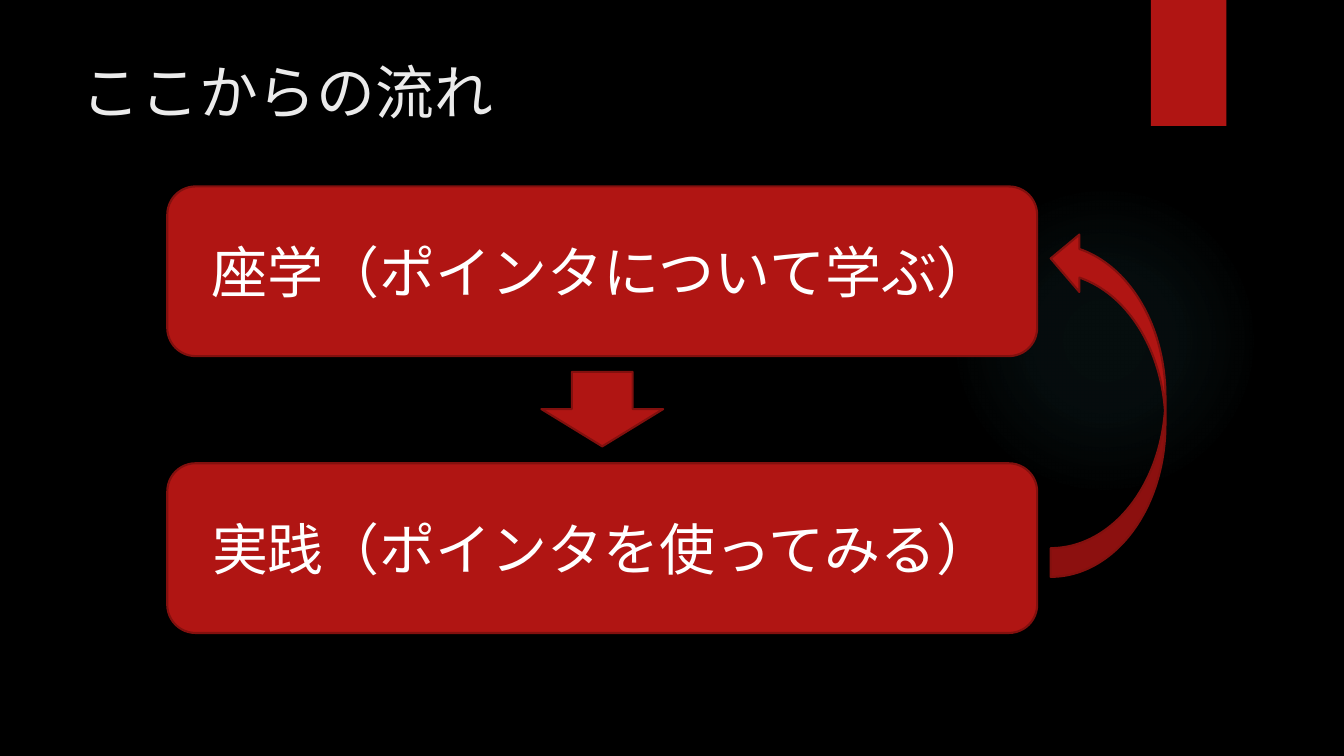
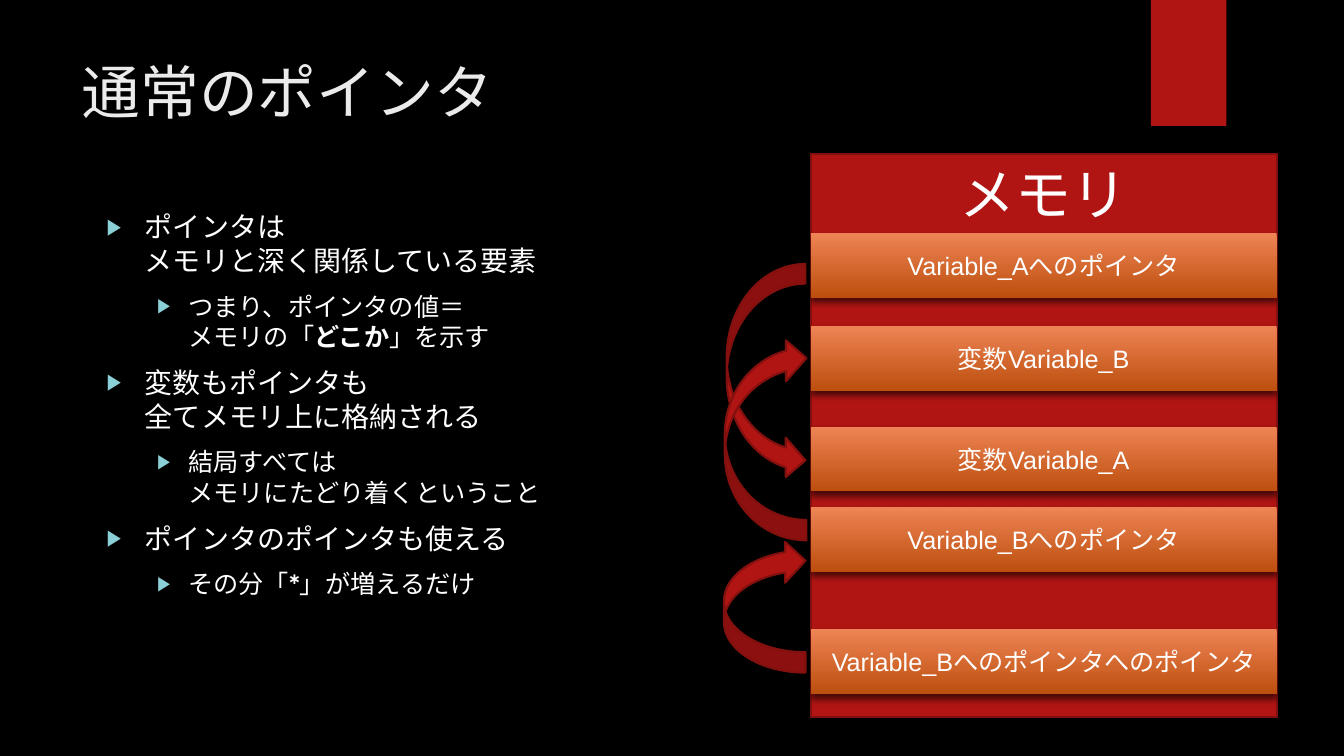
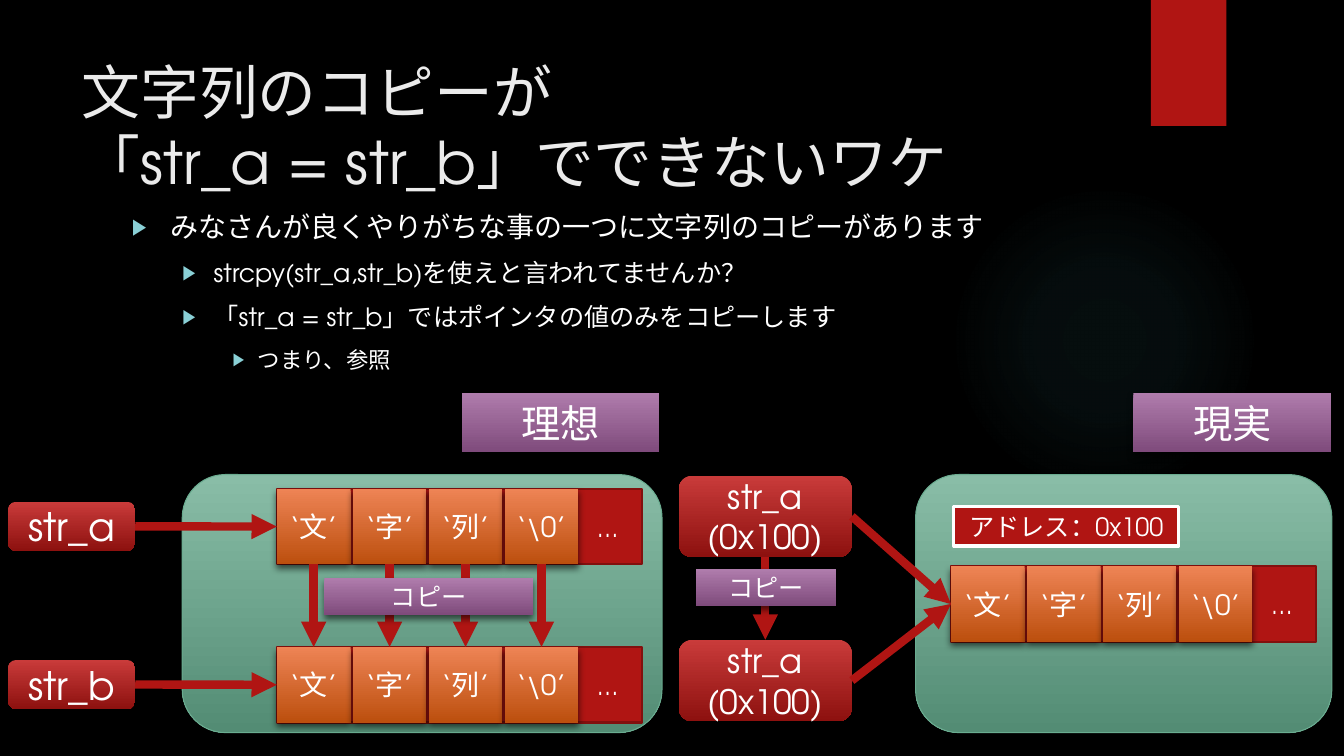
from dataclasses import dataclass

from lxml import etree
from pptx import Presentation
from pptx import util as u
from pptx.dml import color
from pptx.enum import shapes, text
from pptx.oxml import ns

GRID = u.Inches(1 / 12)
COLUMNS, ROWS = 160, 90
FONT, CELL_FONT = "TeX Gyre Adventor", "Arial"
BLACK, WHITE, TITLE_COLOR = "000000", "FFFFFF", "EBEBEB"
RED, DARK_RED, BULLET_COLOR, GLOW_COLOR = "B01513", "82100E", "8AD0D6", "50B9C1"
ORANGE = ("EE8455", "BC4F0E")
PURPLE = ("AF7CAC", "7F4B7C")
CRIMSON = ("C93B3A", "8D110F")
GREEN, GREEN_LINE = ("89BDA7", "538C74"), "6AAC90"
OUTLINE = (DARK_RED, 1.5)
SOFT_SHADOW, DEEP_SHADOW = (45, 3, 2), (60, 5, 3)
LEVELS = ((20, 0.38, -0.38), (18, 0.81, -0.31), (16, 1.25, -0.25))
KIND = shapes.MSO_SHAPE
TOP, MIDDLE = text.MSO_ANCHOR.TOP, text.MSO_ANCHOR.MIDDLE
LEFT, CENTER = text.PP_ALIGN.LEFT, text.PP_ALIGN.CENTER


@dataclass(frozen=True)
class Box:
    """A rectangle measured in grid columns and rows."""

    left: float
    top: float
    width: float
    height: float

    def inner(self, left, top, width, height):
        """Return a box given in percent of this one."""
        return Box(
            self.left + self.width * left / 100,
            self.top + self.height * top / 100,
            self.width * width / 100,
            self.height * height / 100,
        )

    def at(self, across, down):
        """Return the point at the given shares of this box."""
        return self.left + self.width * across, self.top + self.height * down

    def emu(self):
        """Return left, top, width and height as lengths."""
        return [round(v * GRID) for v in (self.left, self.top, self.width, self.height)]


def rgb(value):
    """Turn a hex string into a colour."""
    return color.RGBColor.from_string(value)


def child(parent, tag, **attributes):
    """Append a drawing element with the given attributes."""
    element = etree.SubElement(parent, ns.qn(f"a:{tag}"))
    for name, value in attributes.items():
        element.set(name, str(value))
    return element


def add_runs(paragraph, content, size, font=FONT, hue=WHITE):
    """Add text run by run; ** toggles bold and a newline breaks the line."""
    for index, piece in enumerate(content.split("**")):
        for number, line in enumerate(piece.split("\n")):
            if number:
                paragraph.add_line_break()
            if not line:
                continue
            run = paragraph.add_run()
            run.text = line
            run.font.size = u.Pt(size)
            run.font.bold = index % 2 == 1
            run.font.color.rgb = rgb(hue)
            run.font.name = font
            child(run.font._element, "ea", typeface=font)


def write(shape, lines, size, font=FONT, anchor=MIDDLE, align=CENTER, hue=WHITE):
    """Fill a shape with evenly formatted paragraphs."""
    frame = shape.text_frame
    frame.word_wrap = True
    frame.vertical_anchor = anchor
    for index, line in enumerate(lines):
        paragraph = frame.add_paragraph() if index else frame.paragraphs[0]
        paragraph.alignment = align
        add_runs(paragraph, line, size, font, hue)


def add_box(slide, kind, box, fill, line=None, shadow=None):
    """Add a preset shape with a flat or downward gradient fill."""
    shape = slide.shapes.add_shape(kind, *box.emu())
    if isinstance(fill, str):
        shape.fill.solid()
        shape.fill.fore_color.rgb = rgb(fill)
    else:
        shape.fill.gradient()
        shape.fill.gradient_angle = 270
        for stop, hue, position in zip(shape.fill.gradient_stops, fill, (0, 1)):
            stop.color.rgb = rgb(hue)
            stop.position = position
    if line:
        shape.line.color.rgb = rgb(line[0])
        shape.line.width = u.Pt(line[1])
    else:
        shape.line.fill.background()
    shape.shadow.inherit = False
    if shadow:
        alpha, blur, distance = shadow
        effects = shape.element.spPr.find(ns.qn("a:effectLst"))
        outer = child(effects, "outerShdw", blurRad=u.Pt(blur), dist=u.Pt(distance),
                      dir=5400000, algn="ctr", rotWithShape=0)
        child(child(outer, "srgbClr", val=BLACK), "alpha", val=alpha * 1000)
    return shape


def add_label(slide, box, lines, size, fill, kind=KIND.RECTANGLE, font=FONT):
    """Add a gradient label with a deep shadow."""
    write(add_box(slide, kind, box, fill, shadow=DEEP_SHADOW), lines, size, font)


def add_arrow(slide, start, end):
    """Add a thick straight red arrow between two grid points."""
    ends = [round(v * GRID) for v in (*start, *end)]
    arrow = slide.shapes.add_connector(shapes.MSO_CONNECTOR.STRAIGHT, *ends)
    arrow.line.color.rgb = rgb(RED)
    arrow.line.width = u.Pt(6)
    properties = arrow.element.spPr
    child(properties.find(ns.qn("a:ln")), "tailEnd", type="triangle")
    child(properties, "effectLst")


def add_glow(slide, box):
    """Add a faint round light."""
    glow = add_box(slide, KIND.OVAL, box, GLOW_COLOR)
    flat = glow.element.spPr.find(ns.qn("a:solidFill"))
    gradient = etree.Element(ns.qn("a:gradFill"))
    stops = child(gradient, "gsLst")
    for position, alpha in ((0, 7), (36, 6), (69, 0)):
        stop = child(stops, "gs", pos=position * 1000)
        child(child(stop, "srgbClr", val=GLOW_COLOR), "alpha", val=alpha * 1000)
    child(child(gradient, "path", path="circle"), "fillToRect", l=50000, t=50000, r=50000, b=50000)
    flat.getparent().replace(flat, gradient)
    return glow


def place(placeholder, box):
    """Move a placeholder to a box and keep its text size fixed."""
    placeholder.left, placeholder.top, placeholder.width, placeholder.height = box.emu()
    placeholder.text_frame.auto_size = text.MSO_AUTO_SIZE.NONE


def new_slide(presentation, layout, title, glow):
    """Add a slide with the shared backdrop, band and title."""
    slide = presentation.slides.add_slide(presentation.slide_layouts[layout])
    backdrop = [add_box(slide, KIND.RECTANGLE, Box(137, 0, 9, 15), RED, shadow=SOFT_SHADOW)]
    if glow:
        backdrop.append(add_glow(slide, Box(113, 22, 37, 37)))
    for shape in backdrop:
        slide.shapes.element.insert(2, shape.element)
    place(slide.shapes.title, Box(8.5, 6, 123.5, 18.36))
    write(slide.shapes.title, [title], 42, anchor=TOP, align=LEFT, hue=TITLE_COLOR)
    return slide


def bullet_list(slide, box, items):
    """Fill the body placeholder with levelled bullets."""
    body = slide.placeholders[1]
    place(body, box)
    frame = body.text_frame
    frame.vertical_anchor = TOP
    for index, (level, content) in enumerate(items):
        paragraph = frame.add_paragraph() if index else frame.paragraphs[0]
        size, margin, indent = LEVELS[level]
        paragraph.level = level
        paragraph.alignment = LEFT
        paragraph.space_before = u.Pt(10 if index else 0)
        properties = paragraph._p.get_or_add_pPr()
        properties.set("marL", str(u.Inches(margin)))
        properties.set("indent", str(u.Inches(indent)))
        child(child(properties, "buClr"), "srgbClr", val=BULLET_COLOR)
        child(properties, "buSzPct", val=80000)
        child(properties, "buFont", typeface=CELL_FONT)
        child(properties, "buChar", char="▶")
        add_runs(paragraph, content, size)


def study_cycle(slide, box):
    """Draw two steps, the arrow between them and the arrow back."""
    for index, step in enumerate(("座学（ポインタについて学ぶ）", "実践（ポインタを使ってみる）")):
        panel = add_box(slide, KIND.ROUNDED_RECTANGLE, box.inner(0, 62 * index, 100, 38), RED, OUTLINE)
        write(panel, [step], 40)
    add_box(slide, KIND.DOWN_ARROW, box.inner(43, 41.5, 14, 16.7), RED, OUTLINE)
    back = add_box(slide, KIND.CURVED_UP_ARROW, box.inner(88.2, 35.7, 39.9, 25.7), RED, OUTLINE)
    back.rotation = 270


def memory_map(slide, box):
    """Draw the memory block, its cells and the pointers beside it."""
    write(add_box(slide, KIND.RECTANGLE, box, RED, OUTLINE), ["メモリ"], 40, anchor=TOP)
    cells = (
        (14, "Variable_Aへのポインタ"),
        (30.5, "変数Variable_B"),
        (48.4, "変数Variable_A"),
        (62.7, "Variable_Bへのポインタ"),
        (84.4, "Variable_Bへのポインタへのポインタ"),
    )
    for top, name in cells:
        add_label(slide, box.inner(0, top, 100, 11.5), [name], 18, ORANGE, font=CELL_FONT)
    pointers = (
        (KIND.CURVED_RIGHT_ARROW, 0, (-18, 19.5, 16.9, 38.4)),
        (KIND.CURVED_LEFT_ARROW, 180, (-18.4, 32.6, 17.5, 36)),
        (KIND.CURVED_LEFT_ARROW, 180, (-18.6, 68.6, 17.5, 23.5)),
    )
    for kind, rotation, area in pointers:
        add_box(slide, kind, box.inner(*area), RED, OUTLINE).rotation = rotation


def string_row(slide, box):
    """Draw a character array and return the boxes of its cells."""
    add_box(slide, KIND.RECTANGLE, box, RED, OUTLINE)
    cells = [box.inner(20.8 * index, 0, 20.2, 100) for index in range(4)]
    for cell, character in zip(cells, ("‘文’", "‘字’", "‘列’", "‘\\0’")):
        add_label(slide, cell, [character], 20, ORANGE)
    dots = slide.shapes.add_textbox(*box.inner(85.1, 24, 14.9, 53).emu())
    write(dots, ["…"], 18, anchor=TOP, align=LEFT)
    return cells


def green_panel(slide, box, heading, heading_area):
    """Draw a rounded panel and the heading above it."""
    add_box(slide, KIND.ROUNDED_RECTANGLE, box, GREEN, (GREEN_LINE, 0.75), SOFT_SHADOW)
    add_label(slide, box.inner(*heading_area), [heading], 28, PURPLE)


def ideal_copy(slide, box):
    """Show each character copied into a second array."""
    green_panel(slide, box, "理想", (58.2, -31.6, 41.2, 23))
    rows = [box.inner(19.7, top, 76.1, 29.3) for top in (5.5, 66.8)]
    sources, targets = [string_row(slide, row) for row in rows]
    for source, target in zip(sources, targets):
        add_arrow(slide, source.at(0.5, 1), target.at(0.5, 0))
    add_label(slide, box.inner(29.6, 40.2, 43.5, 14.1), ["コピー"], 18, PURPLE)
    for row, top, name in zip(rows, (10.5, 71.8), ("str_a", "str_b")):
        label = box.inner(-36.3, top, 26.5, 19.1)
        add_label(slide, label, [name], 28, CRIMSON, KIND.ROUNDED_RECTANGLE)
        add_arrow(slide, label.at(1, 0.5), row.at(0, 0.5))


def actual_copy(slide, box):
    """Show two pointers that share one array."""
    green_panel(slide, box, "現実", (52.3, -31.6, 47.5, 23))
    row = box.inner(8.5, 35.5, 87.7, 29.3)
    string_row(slide, row)
    address = add_box(slide, KIND.RECTANGLE, box.inner(9.2, 12.5, 54, 15.2), RED, (WHITE, 2.25))
    write(address, ["アドレス：0x100"], 18)
    pointers = [box.inner(-56.9, top, 41.6, 31.6) for top in (0.4, 64)]
    for pointer in pointers:
        add_label(slide, pointer, ["str_a", "(0x100)"], 24, CRIMSON, KIND.ROUNDED_RECTANGLE)
        add_arrow(slide, pointer.at(1, 0.5), row.at(0, 0.5))
    add_arrow(slide, pointers[0].at(0.5, 1), pointers[1].at(0.5, 0))
    add_label(slide, box.inner(-52.8, 36.7, 33.7, 14.1), ["コピー"], 18, PURPLE)


def main():
    """Build the three slides."""
    presentation = Presentation()
    presentation.slide_width, presentation.slide_height = COLUMNS * GRID, ROWS * GRID
    background = presentation.slide_master.background.fill
    background.solid()
    background.fore_color.rgb = rgb(BLACK)

    slide = new_slide(presentation, 5, "ここからの流れ", True)
    study_cycle(slide, Box(19.92, 22.2, 103.56, 53.16))

    slide = new_slide(presentation, 1, "通常のポインタ", False)
    bullet_list(slide, Box(11.5, 24.36, 56, 55), (
        (0, "ポインタは\nメモリと深く関係している要素"),
        (1, "つまり、ポインタの値＝\nメモリの「**どこか**」を示す"),
        (0, "変数もポインタも\n全てメモリ上に格納される"),
        (1, "結局すべては\nメモリにたどり着くということ"),
        (0, "ポインタのポインタも使える"),
        (1, "その分「*」が増えるだけ"),
    ))
    memory_map(slide, Box(96.5, 18.36, 55.5, 67))

    slide = new_slide(presentation, 1, "文字列のコピーが\n「str_a = str_b」でできないワケ", True)
    bullet_list(slide, Box(14.5, 24.36, 117.36, 20.16), (
        (0, "みなさんが良くやりがちな事の一つに文字列のコピーがあります"),
        (1, "strcpy(str_a,str_b)を使えと言われてませんか？"),
        (1, "「str_a = str_b」ではポインタの値のみをコピーします"),
        (2, "つまり、参照"),
    ))
    ideal_copy(slide, Box(21.7, 56.5, 57.12, 30.72))
    actual_copy(slide, Box(109, 56.5, 49.56, 30.72))

    presentation.save("out.pptx")


if __name__ == "__main__":
    main()
